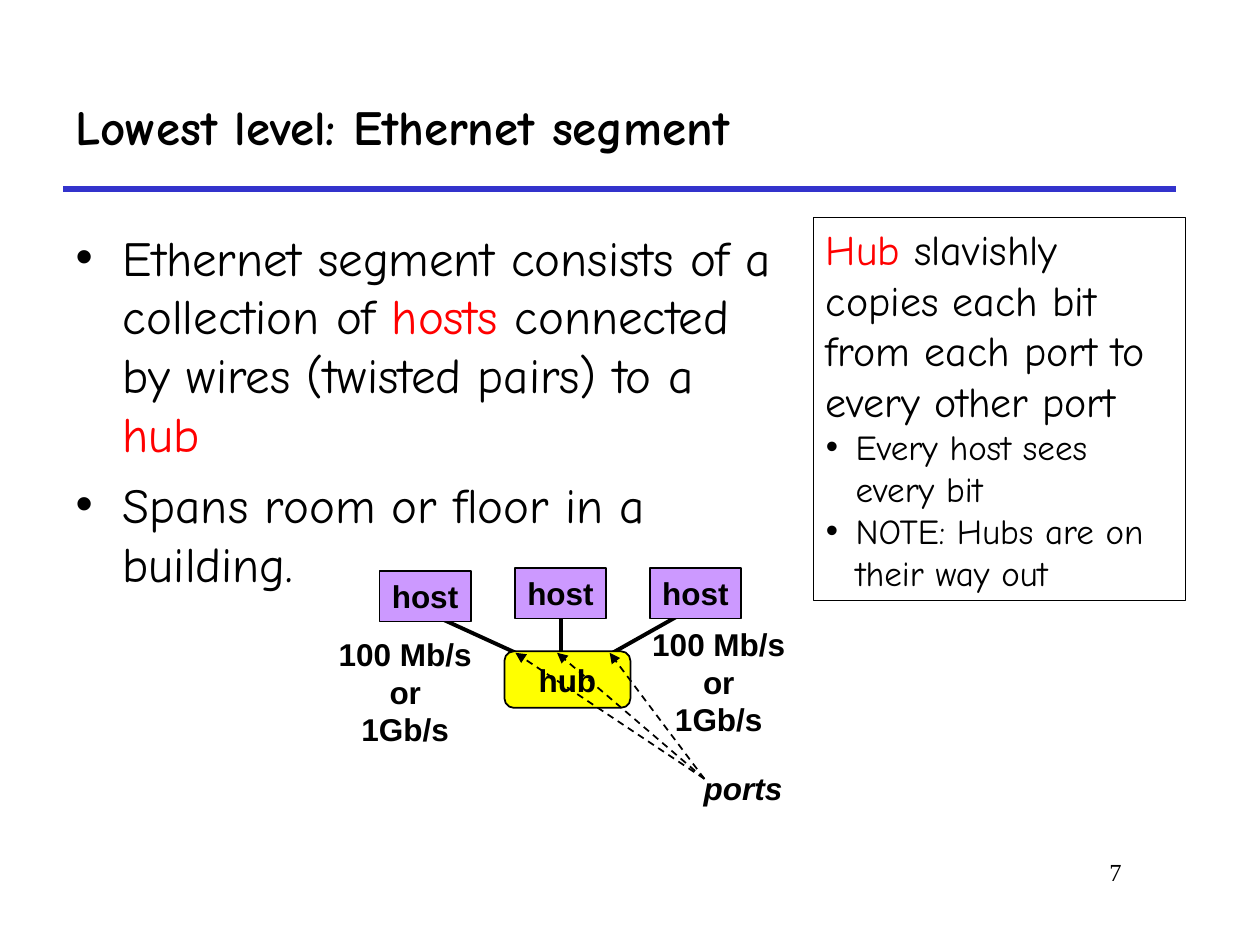
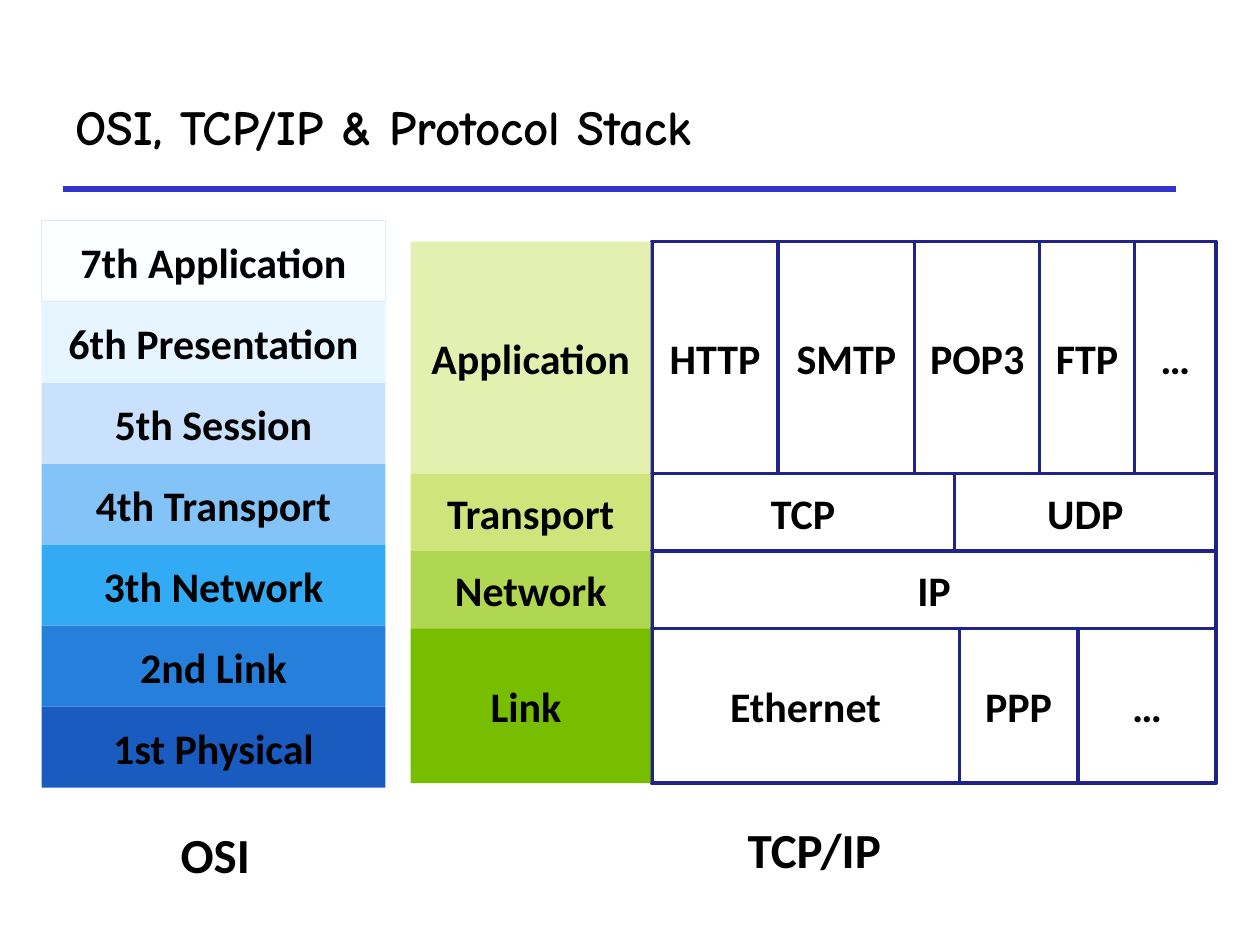
from lxml import etree
from pptx import Presentation
from pptx.dml.color import RGBColor
from pptx.enum.dml import MSO_LINE
from pptx.enum.shapes import MSO_CONNECTOR, MSO_SHAPE
from pptx.enum.text import MSO_ANCHOR, MSO_AUTO_SIZE, PP_ALIGN
from pptx.oxml.ns import qn
from pptx.util import Cm, Pt

BLACK = RGBColor(0x00, 0x00, 0x00)
WHITE = RGBColor(0xFF, 0xFF, 0xFF)
RED = RGBColor(0xFF, 0x00, 0x00)
RULE_BLUE = RGBColor(0x33, 0x33, 0xCC)
HOST_PURPLE = RGBColor(0xCC, 0x99, 0xFF)
HUB_YELLOW = RGBColor(0xFF, 0xFF, 0x00)
PALE_EDGE = RGBColor(0xE0, 0xE9, 0xF8)
PROTOCOL_EDGE = RGBColor(0x22, 0x22, 0x8B)

HAND = "Comic Neue"
DIAGRAM = "Arial"
STACK = "Calibri"


def add_label(slide, text, left, top, width, height, font, size,
              kind=None, fill=None, edge=None, edge_width=1):
    place = Cm(left), Cm(top), Cm(width), Cm(height)
    if kind is None:
        label = slide.shapes.add_textbox(*place)
    else:
        label = slide.shapes.add_shape(kind, *place)
        label.shadow.inherit = False
        label.fill.solid()
        label.fill.fore_color.rgb = fill
        if edge is None:
            label.line.fill.background()
        else:
            label.line.color.rgb = edge
            label.line.width = Pt(edge_width)
    frame = label.text_frame
    frame.text = text
    frame.word_wrap = False
    frame.vertical_anchor = MSO_ANCHOR.MIDDLE
    for paragraph in frame.paragraphs:
        paragraph.alignment = PP_ALIGN.CENTER
        paragraph.font.name = font
        paragraph.font.size = Pt(size)
        paragraph.font.bold = True
        paragraph.font.color.rgb = BLACK
    return label


def add_line(slide, start, end, color, width):
    line = slide.shapes.add_connector(
        MSO_CONNECTOR.STRAIGHT, *map(Cm, start), *map(Cm, end))
    line.line.color.rgb = color
    line.line.width = Pt(width)
    etree.SubElement(line._element.spPr, qn("a:effectLst"))
    return line


deck = Presentation()
deck.slide_width = Cm(25.4)
deck.slide_height = Cm(19.05)

ethernet = deck.slides.add_slide(deck.slide_layouts[1])
stacks = deck.slides.add_slide(deck.slide_layouts[5])

for slide, heading in ((ethernet, "Lowest level: Ethernet segment"),
                       (stacks, "OSI, TCP/IP & Protocol Stack")):
    add_line(slide, (1.27, 3.81), (23.7, 3.81), RULE_BLUE, 3)
    title = slide.shapes.title
    title.left, title.top, title.width, title.height = map(Cm, (1.27, 1.27, 22.43, 2.54))
    title.text_frame.text = heading
    title.text_frame.auto_size = MSO_AUTO_SIZE.NONE
    title.text_frame.vertical_anchor = MSO_ANCHOR.MIDDLE
    paragraph = title.text_frame.paragraphs[0]
    paragraph.alignment = PP_ALIGN.LEFT
    paragraph.font.name = HAND
    paragraph.font.size = Pt(28)
    paragraph.font.bold = True
    paragraph.font.color.rgb = BLACK

page_number = add_label(ethernet, "7", 19.25, 17.15, 3.61, 1.27, "Times New Roman", 14)
page_number.text_frame.word_wrap = True
page_number.text_frame.vertical_anchor = MSO_ANCHOR.TOP
page_number.text_frame.paragraphs[0].alignment = PP_ALIGN.RIGHT
page_number.text_frame.paragraphs[0].font.bold = False

facts = ethernet.placeholders[1]
facts.left, facts.top, facts.width, facts.height = map(Cm, (1.27, 4.45, 14.76, 12.27))

hub_note = ethernet.shapes.add_textbox(Cm(16.4), Cm(4.39), Cm(7.5), Cm(7.72))
hub_note.line.color.rgb = BLACK
hub_note.line.width = Pt(0.75)

fact_lines = [
    (28, 0.95, [("Ethernet segment consists of a collection of ", BLACK), ("hosts", RED),
                (" connected by wires (twisted pairs) to a ", BLACK), ("hub", RED)]),
    (28, 0.95, [("Spans room or floor in a building.", BLACK)]),
]
note_lines = [
    (24, 0, [("Hub", RED),
             (" slavishly copies each bit from each port to every other port", BLACK)]),
    (20, 0.6, [("Every host sees every bit", BLACK)]),
    (20, 0.6, [("NOTE: Hubs are on their way out", BLACK)]),
]
for holder, lines, space in ((facts, fact_lines, 7), (hub_note, note_lines, 0)):
    frame = holder.text_frame
    frame.word_wrap = True
    frame.auto_size = MSO_AUTO_SIZE.NONE
    for index, (size, indent, pieces) in enumerate(lines):
        paragraph = frame.add_paragraph() if index else frame.paragraphs[0]
        paragraph.space_before = Pt(space)
        paragraph.font.name = HAND
        paragraph.font.size = Pt(size)
        for text, color in pieces:
            run = paragraph.add_run()
            run.text = text
            run.font.color.rgb = color
        if indent:
            properties = paragraph._p.get_or_add_pPr()
            properties.set("marL", str(Cm(indent)))
            properties.set("indent", str(-Cm(indent)))
            bullet_color = etree.Element(qn("a:buClr"))
            etree.SubElement(bullet_color, qn("a:srgbClr"), val=str(BLACK))
            bullet_font = etree.Element(qn("a:buFont"), typeface="Arial")
            bullet = etree.Element(qn("a:buChar"), char="•")
            position = list(properties).index(properties.find(qn("a:defRPr")))
            properties[position:position] = [bullet_color, bullet_font, bullet]

for left, top, cable_start, cable_end in (
        (7.65, 11.51, (8.56, 12.32), (10.9, 13.39)),
        (10.38, 11.45, (11.3, 12.47), (11.3, 13.16)),
        (13.1, 11.45, (13.84, 12.32), (11.94, 13.39))):
    cable = add_line(ethernet, cable_start, cable_end, BLACK, 2.25)
    host = add_label(ethernet, "host", left, top, 1.84, 1.02, DIAGRAM, 18,
                     MSO_SHAPE.RECTANGLE, HOST_PURPLE, BLACK)
    if cable_start[0] == cable_end[0]:
        cable.begin_connect(host, 2)

add_label(ethernet, "hub", 10.17, 13.13, 2.54, 1.14, DIAGRAM, 18,
          MSO_SHAPE.ROUNDED_RECTANGLE, HUB_YELLOW, BLACK)
link_speed = "100 Mb/s\nor\n1Gb/s"
for text, left, top, width, height, slanted in (
        (link_speed, 12.9, 12.47, 3.18, 2.54, False),
        (link_speed, 6.58, 12.67, 3.18, 2.54, False),
        ("ports", 13.94, 15.37, 2.08, 1.02, True)):
    caption = add_label(ethernet, text, left, top, width, height, DIAGRAM, 18)
    caption.text_frame.margin_left = caption.text_frame.margin_right = 0
    for paragraph in caption.text_frame.paragraphs:
        paragraph.font.italic = slanted

for port_x in (12.29, 11.23, 10.39):
    pointer = add_line(ethernet, (14.2, 15.7), (port_x, 13.16), BLACK, 1)
    pointer.line.dash_style = MSO_LINE.DASH
    etree.SubElement(pointer._element.spPr.get_or_add_ln(), qn("a:tailEnd"), type="triangle")

osi_layers = [
    ("7th Application", "FCFFFF"), ("6th Presentation", "E6F5FF"),
    ("5th Session", "C9E1FC"), ("4th Transport", "84C3F8"),
    ("3th Network", "32AAF4"), ("2nd Link", "257FDB"), ("1st Physical", "1A5BBF"),
]
osi_height = 11.43 / len(osi_layers)
for index, (layer, shade) in enumerate(osi_layers):
    add_label(stacks, layer, 0.84, 4.45 + index * osi_height, 6.93, osi_height, STACK, 24,
              MSO_SHAPE.RECTANGLE, RGBColor.from_string(shade),
              None if index else PALE_EDGE, 0.75)
add_label(stacks, "OSI", 0.86, 16.48, 6.96, 1.45, STACK, 28)

tcp_layers = [
    ("Application", "E4F0AF", 3, [("HTTP", 2.55), ("SMTP", 2.75), ("POP3", 2.52),
                                  ("FTP", 1.91), ("…", 1.65)]),
    ("Transport", "CFE47A", 1, [("TCP", 6.1), ("UDP", 5.28)]),
    ("Network", "B0D751", 1, [("IP", 11.38)]),
    ("Link ", "77BD00", 2, [("Ethernet", 6.2), ("PPP", 2.39), ("…", 2.79)]),
]
row_unit = 1.56
top = 4.87
for layer, shade, units, protocols in tcp_layers:
    height = units * row_unit
    left = 13.14
    for protocol, width in protocols:
        add_label(stacks, protocol, left, top, width, height, STACK, 24,
                  MSO_SHAPE.RECTANGLE, WHITE, PROTOCOL_EDGE, 2)
        left += width
    add_label(stacks, layer, 8.28, top, 4.84, height, STACK, 24,
              MSO_SHAPE.RECTANGLE, RGBColor.from_string(shade))
    top += height
add_label(stacks, "TCP/IP", 8.26, 16.38, 16.31, 1.45, STACK, 28)

deck.save("out.pptx")
